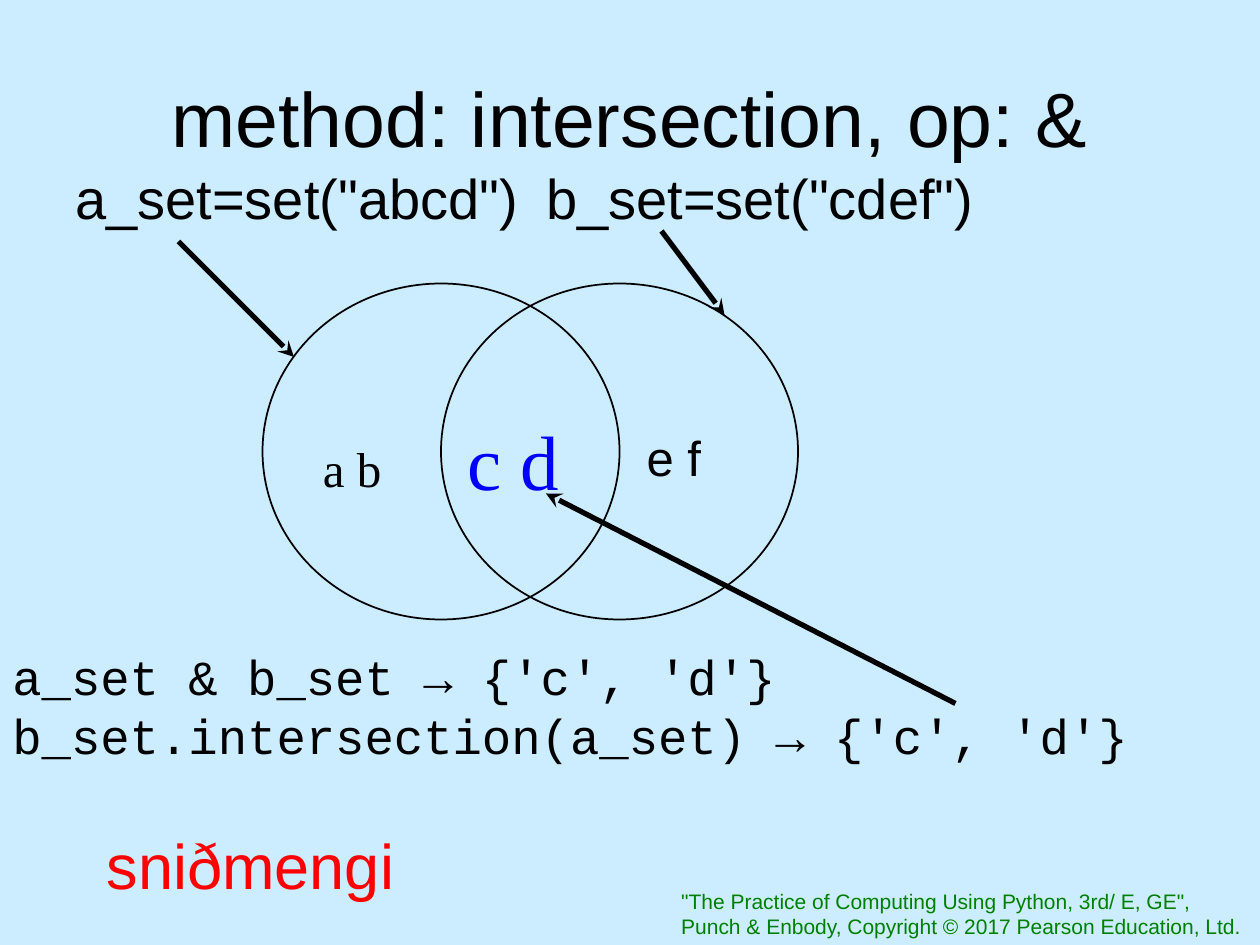
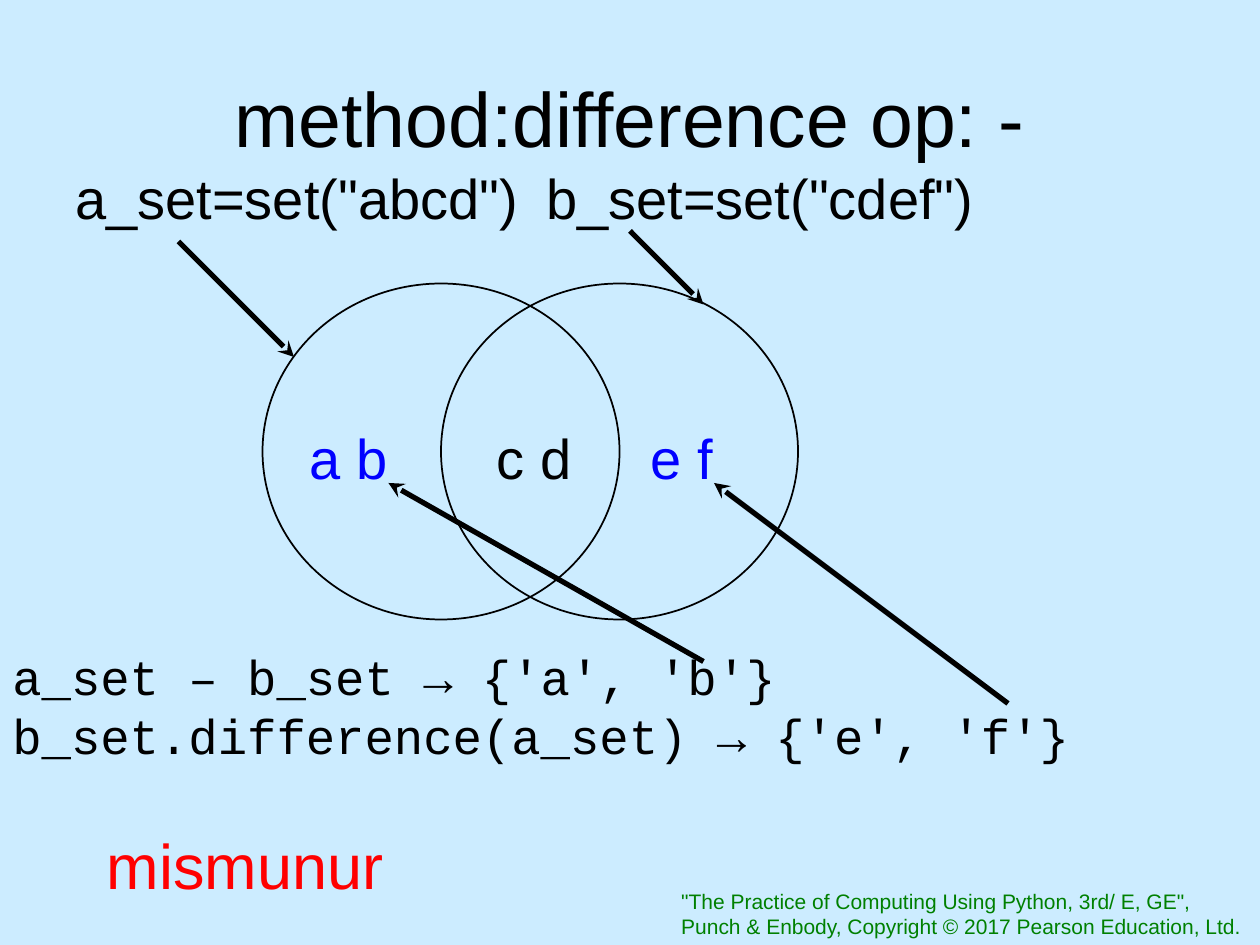
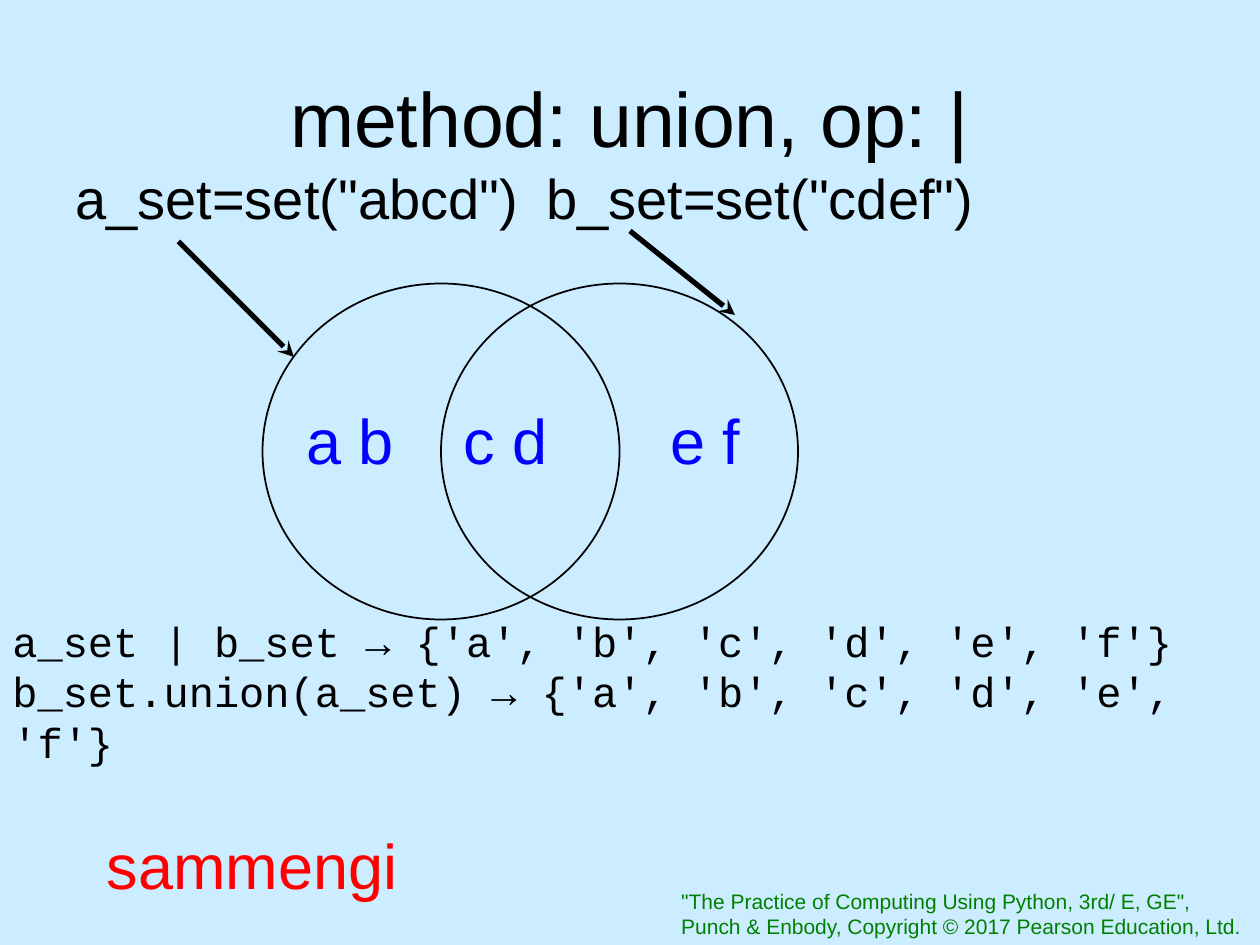
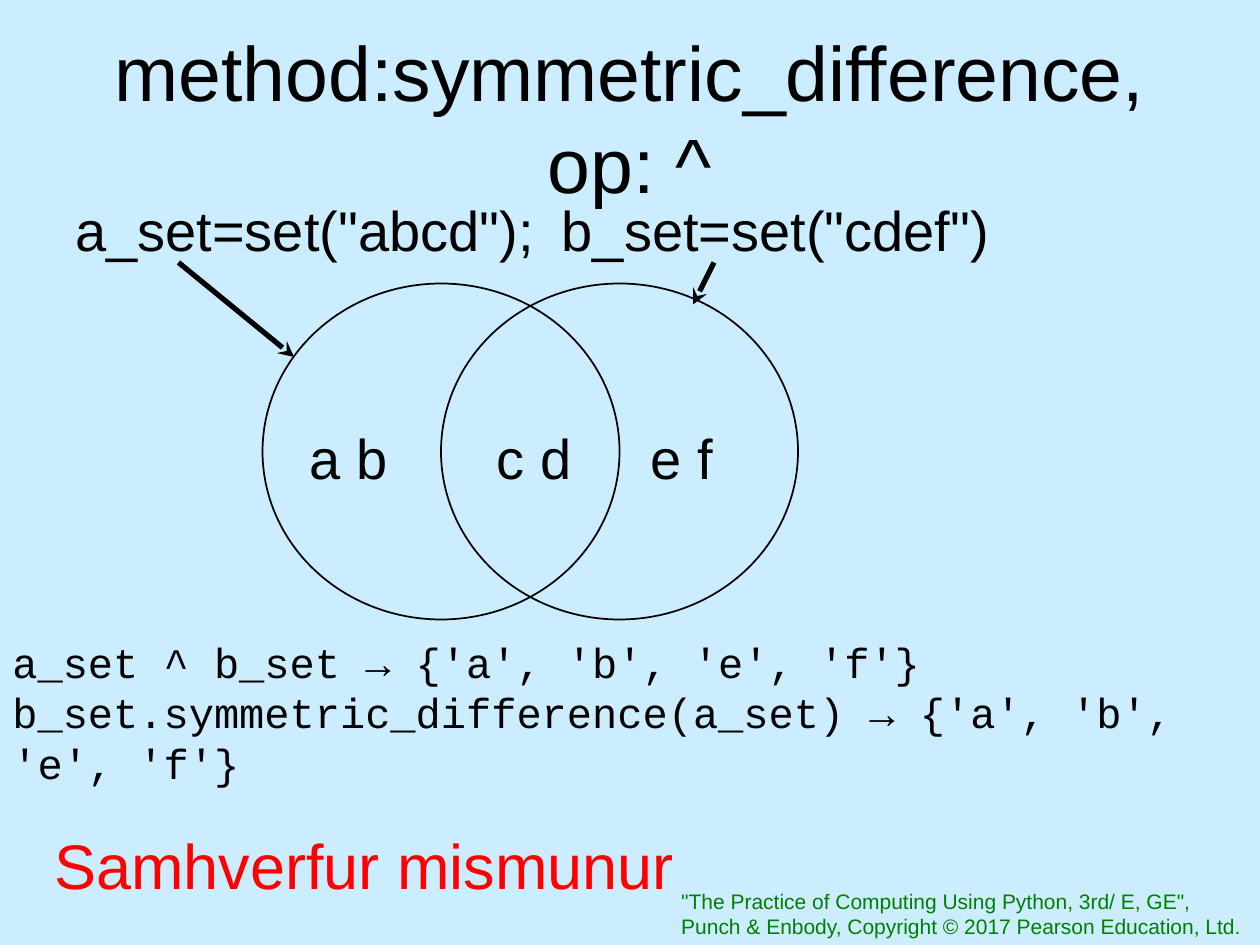
from lxml.etree import SubElement
from pptx import Presentation
from pptx.dml.color import RGBColor
from pptx.enum.shapes import MSO_CONNECTOR, MSO_SHAPE
from pptx.enum.text import MSO_ANCHOR, PP_ALIGN
from pptx.oxml.ns import qn
from pptx.util import Pt

SKY, BLACK, BLUE, RED, GREEN = "CCECFF", "000000", "0000FF", "FF0000", "008000"
SANS, MONO, SERIF = "Arial", "Courier New", "Times New Roman"

TITLE_BOX = (36, 21.6, 648, 90)
FOOTER_BOX = (382.2, 504, 337, 36)
VENN_BOX = (150, 162, 306, 192)
FOOTER = ['"The Practice of Computing Using Python, 3rd/ E, GE",',
          "Punch & Enbody, Copyright © 2017 Pearson Education, Ltd."]
TO_A = ((102, 138), (168, 204))


def rgb(value):
    return RGBColor.from_string(value)


def text_format(size, color=BLACK, face=SANS):
    return {"size": Pt(size), "name": face, "color": color}


def apply_font(font, values):
    for key, value in values.items():
        if key == "color":
            font.color.rgb = rgb(value)
        else:
            setattr(font, key, value)


def add_text(slide, box, lines, values, tab=None, **frame_values):
    frame = slide.shapes.add_textbox(*map(Pt, box)).text_frame
    frame.word_wrap = True
    for key, value in frame_values.items():
        setattr(frame, key, value)
    for number, line in enumerate(lines):
        paragraph = frame.add_paragraph() if number else frame.paragraphs[0]
        if tab:
            tabs = SubElement(paragraph._p.get_or_add_pPr(), qn("a:tabLst"))
            SubElement(tabs, qn("a:tab"), pos=str(Pt(tab)), algn="l")
        run = paragraph.add_run()
        run.text = line
        apply_font(run.font, values)
    return frame


def add_title(slide, box, title):
    frame = add_text(slide, box, [title], text_format(44),
                     vertical_anchor=MSO_ANCHOR.MIDDLE)
    frame.paragraphs[0].alignment = PP_ALIGN.CENTER


def add_venn(slide, box, labels):
    """Draw b_set and a_set, overlapping by half, with a label per region.

    A label is (text, left, baseline, format), measured from the box corner.
    """
    left, top, width, height = box
    step = width / 3
    for offset in (step, 0):
        circle = slide.shapes.add_shape(
            MSO_SHAPE.OVAL, Pt(left + offset), Pt(top), Pt(2 * step), Pt(height))
        circle.shadow.inherit = False
        circle.fill.background()
        circle.line.color.rgb = rgb(BLACK)
        circle.line.width = Pt(1)
    for text, x, baseline, values in labels:
        size = values["size"].pt
        label_box = (left + x, top + baseline - 0.9 * size, 2 * size, 1.2 * size)
        add_text(slide, label_box, [text], values, margin_left=0,
                 margin_right=0, margin_top=0, margin_bottom=0)


def add_arrow(slide, start, end):
    arrow = slide.shapes.add_connector(
        MSO_CONNECTOR.STRAIGHT, *map(Pt, start + end))
    arrow.line.color.rgb = rgb(BLACK)
    arrow.line.width = Pt(3)
    SubElement(arrow.line._get_or_add_ln(), qn("a:tailEnd"), type="stealth")
    SubElement(arrow._element.spPr, qn("a:effectLst"))


def region_labels(lefts, baseline, formats):
    return [(text, left, baseline, values)
            for text, left, values in zip(("a b", "c d", "e f"), lefts, formats)]


def add_set_slide(prs, title, code, term, labels, arrows, code_top=366,
                  code_size=28, definition_box=(36, 90, 648, 392),
                  definitions='a_set=set("abcd")\tb_set=set("cdef")',
                  b_set_tab=269, term_box=(54, 468.7, 228, 51)):
    slide = prs.slides.add_slide(prs.slide_layouts[6])
    add_text(slide, FOOTER_BOX, FOOTER, text_format(12, GREEN))
    add_title(slide, TITLE_BOX, title)
    add_text(slide, definition_box, [definitions], text_format(32), b_set_tab)
    add_text(slide, (0, code_top, 720, 109), code,
             text_format(code_size, face=MONO))
    add_venn(slide, VENN_BOX, labels)
    for start, end in arrows:
        add_arrow(slide, start, end)
    add_text(slide, term_box, [term], text_format(36, RED))


def main():
    prs = Presentation()
    prs.slide_width, prs.slide_height = Pt(720), Pt(540)
    background = prs.slide_master.background.fill
    background.solid()
    background.fore_color.rgb = rgb(SKY)

    plain, marked = text_format(32), text_format(32, BLUE)
    add_set_slide(
        prs, "method: intersection, op: &",
        ["a_set & b_set → {'c', 'd'}",
         "b_set.intersection(a_set) → {'c', 'd'}"],
        "sniðmengi",
        [("a b", 34.5, 114, text_format(28, face=SERIF)),
         ("c d", 117, 114, text_format(44, BLUE, SERIF)),
         ("e f", 219.5, 107.5, text_format(28))],
        [TO_A, ((378, 132), (414, 180)), ((546, 402), (312, 282))])
    add_set_slide(
        prs, "method:difference op: -",
        ["a_set – b_set → {'a', 'b'}",
         "b_set.difference(a_set) → {'e', 'f'}"],
        "mismunur",
        region_labels((27, 134, 222), 109, (marked, plain, marked)),
        [TO_A, ((360, 132), (402, 174)), ((402, 378), (222, 276)),
         ((576, 402), (408, 276))])
    add_set_slide(
        prs, "method: union, op: |",
        ["a_set | b_set → {'a', 'b', 'c', 'd', 'e', 'f'}",
         "b_set.union(a_set) → {'a', 'b', 'c', 'd', 'e', 'f'}"],
        "sammengi",
        region_labels((25, 115, 233), 100, [text_format(36, BLUE)] * 3),
        [TO_A, ((360, 132), (420, 180))],
        code_top=348, code_size=24)
    add_set_slide(
        prs, "method:symmetric_difference, op: ^",
        ["a_set ^ b_set → {'a', 'b', 'e', 'f'}",
         "b_set.symmetric_difference(a_set) → {'a', 'b', 'e', 'f'}"],
        "Samhverfur mismunur",
        region_labels((27, 134, 222), 109, [plain] * 3),
        [((102, 150), (168, 204)), ((408, 150), (396, 174))],
        code_top=360, code_size=24, definition_box=(36, 108, 684, 374),
        definitions='a_set=set("abcd");\tb_set=set("cdef")',
        b_set_tab=278, term_box=(24, 468.7, 402, 51))
    prs.save("out.pptx")


if __name__ == "__main__":
    main()
